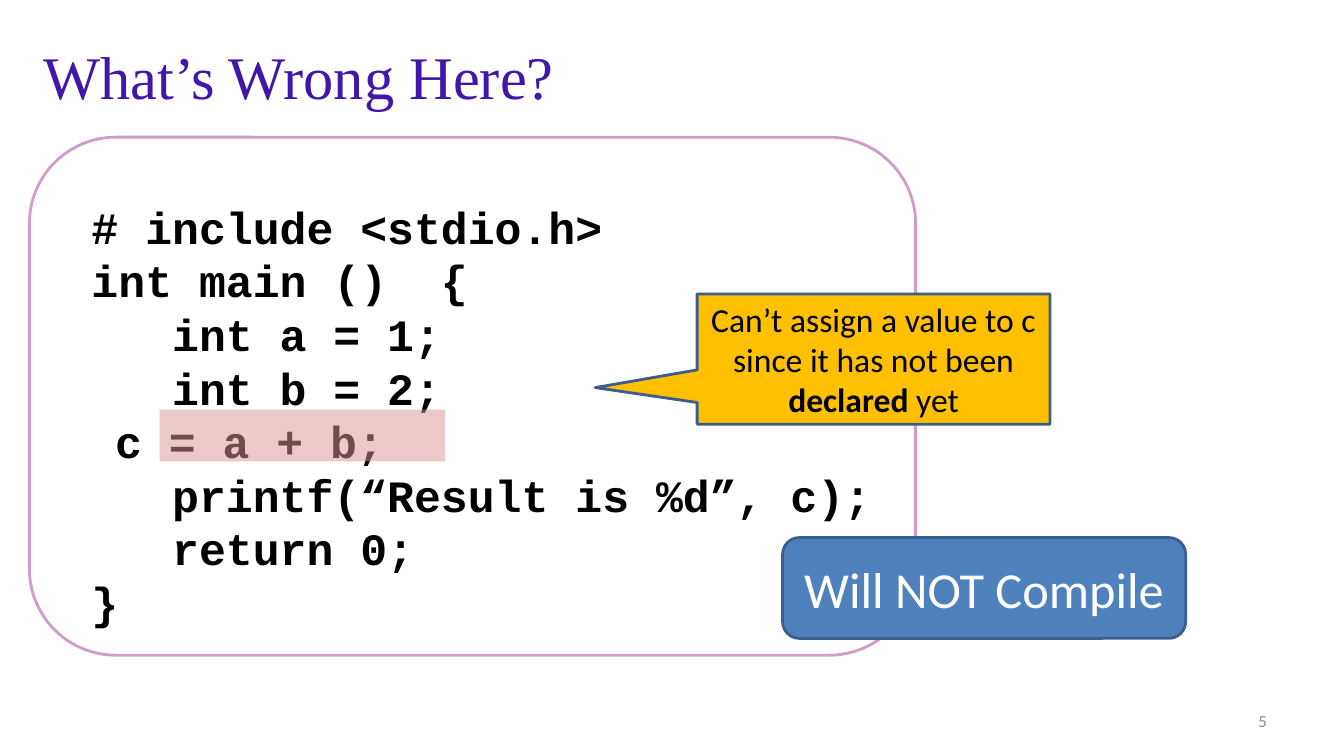
from lxml import etree
from pptx import Presentation
from pptx.dml.color import RGBColor
from pptx.enum.shapes import MSO_SHAPE
from pptx.enum.text import MSO_ANCHOR, PP_ALIGN
from pptx.oxml.ns import qn
from pptx.util import Pt

ROUNDED = MSO_SHAPE.ROUNDED_RECTANGLE
CALLOUT = MSO_SHAPE.RECTANGULAR_CALLOUT
RECTANGLE = MSO_SHAPE.RECTANGLE
LEFT, CENTER, RIGHT = PP_ALIGN.LEFT, PP_ALIGN.CENTER, PP_ALIGN.RIGHT
TOP, MIDDLE = MSO_ANCHOR.TOP, MSO_ANCHOR.MIDDLE

WHITE = RGBColor(0xFF, 0xFF, 0xFF)
BLACK = RGBColor(0, 0, 0)
PURPLE = RGBColor(0x41, 0x17, 0xA9)
MAUVE = RGBColor(0xCF, 0x9D, 0xC7)
AMBER = RGBColor(0xFF, 0xC0, 0x00)
NAVY = RGBColor(0x3A, 0x5F, 0x8C)
ROSE = RGBColor(0xD9, 0x96, 0x94)
BLUE = RGBColor(0x4F, 0x81, 0xBD)
GRAY = RGBColor(0x8C, 0x8C, 0x8C)

TITLE = "What’s Wrong Here?"
CODE = [
    " # include <stdio.h>",
    " int main ()  {",
    "    int a = 1;",
    "    int b = 2;",
    "\tc = a + b;",
    "    printf(“Result is %d”, c);",
    "    return 0;",
    " }",
]
REASON = [
    ("Can’t assign a value to c since it has not been ", False),
    ("declared", True),
    (" yet", False),
]
VERDICT = "Will NOT Compile"
PAGE = "5"


def add_box(kind, left, top, width, height, fill, line=None):
    box = slide.shapes.add_shape(kind, Pt(left), Pt(top), Pt(width), Pt(height))
    box.shadow.inherit = False
    box.fill.solid()
    box.fill.fore_color.rgb = fill
    if line is None:
        box.line.fill.background()
    else:
        box.line.color.rgb = line
        box.line.width = Pt(2)
    return box


def write(shape, lines, font, size, color, align, anchor=MIDDLE, bold=None):
    frame = shape.text_frame
    frame.word_wrap = True
    frame.vertical_anchor = anchor
    for index, line in enumerate(lines):
        paragraph = frame.paragraphs[0] if index == 0 else frame.add_paragraph()
        paragraph.alignment = align
        paragraph.font.name = font
        paragraph.font.size = Pt(size)
        paragraph.font.color.rgb = color
        paragraph.font.bold = bold
        for text, strong in [(line, None)] if isinstance(line, str) else line:
            run = paragraph.add_run()
            run.text = text
            run.font.bold = strong
    return frame


deck = Presentation()
deck.slide_width, deck.slide_height = Pt(960), Pt(540)
slide = deck.slides.add_slide(deck.slide_layouts[5])

title = slide.shapes.title
title.left, title.top, title.width, title.height = Pt(24), Pt(24), Pt(864), Pt(60)
write(title, [TITLE], "Times New Roman", 43.2, PURPLE, LEFT)

program = add_box(ROUNDED, 21, 98, 633, 370, WHITE, MAUVE)
listing = write(program, CODE, "Courier New", 32, BLACK, LEFT, TOP, True)
listing.margin_top = Pt(26.5)
for paragraph in listing.paragraphs:
    paragraph.line_spacing = Pt(38.3)

reason = add_box(CALLOUT, 498, 210, 252, 93, AMBER, NAVY)
reason.adjustments[0], reason.adjustments[1] = -0.789, 0.219
write(reason, [REASON], "Calibri", 24, BLACK, CENTER)

highlight = add_box(RECTANGLE, 114, 292.5, 204, 37, ROSE)
rose = highlight.fill._xPr.find(qn("a:solidFill"))[0]
etree.SubElement(rose, qn("a:alpha")).set("val", "51000")

verdict = add_box(ROUNDED, 559, 384, 288, 72, BLUE, NAVY)
write(verdict, [VERDICT], "Calibri", 36, WHITE, CENTER)

page = slide.shapes.add_textbox(Pt(688), Pt(500), Pt(224), Pt(29))
write(page, [PAGE], "Calibri", 12, GRAY, RIGHT)

deck.save("out.pptx")
